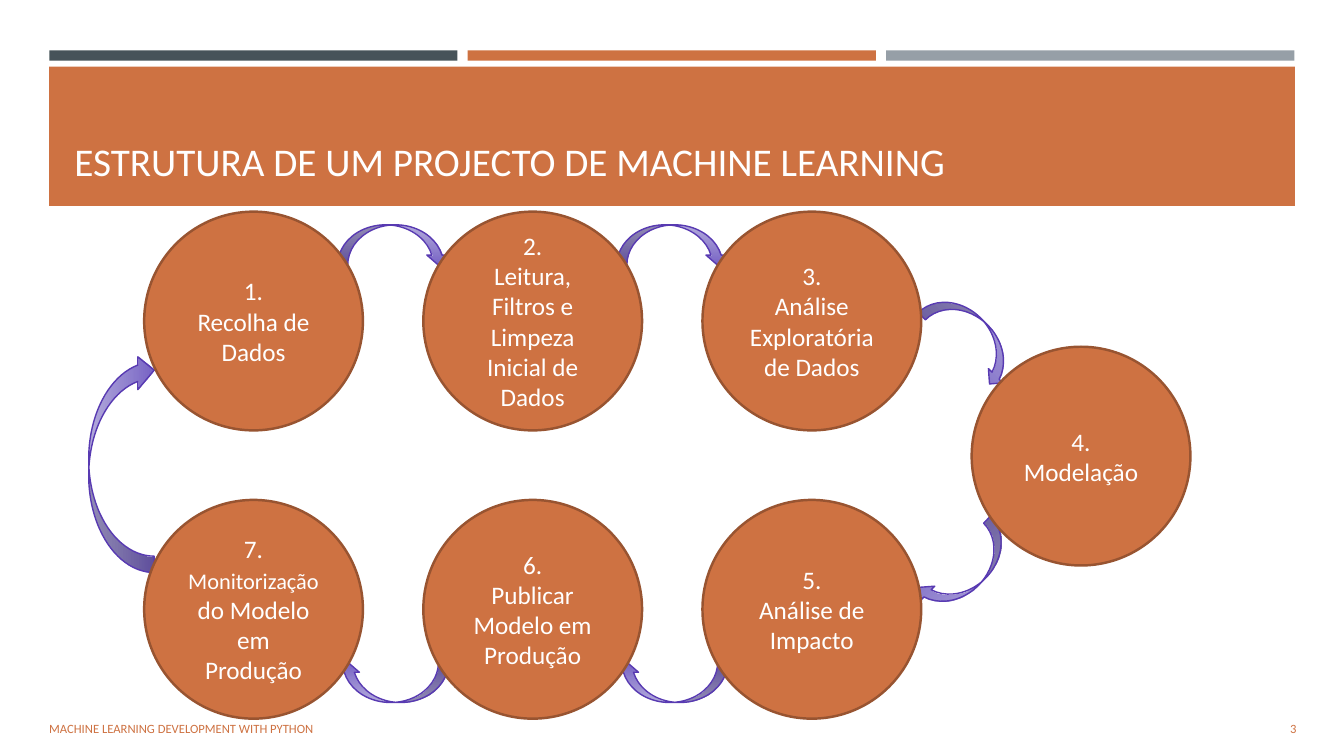
import pptx
import pptx.util
import pptx.dml.color
import pptx.enum.shapes
import pptx.enum.text
import pptx.oxml.ns
from lxml import etree

Pt = pptx.util.Pt
RGB = pptx.dml.color.RGBColor
Shape = pptx.enum.shapes.MSO_SHAPE
Align = pptx.enum.text.PP_ALIGN
Anchor = pptx.enum.text.MSO_ANCHOR

SLATE = RGB(0x46, 0x53, 0x59)
ORANGE = RGB(0xCE, 0x72, 0x42)
GRAY = RGB(0x96, 0x9F, 0xA7)
BROWN = RGB(0x98, 0x54, 0x31)
WHITE = RGB(0xFF, 0xFF, 0xFF)
LILAC = RGB(0xAB, 0xA2, 0xD8)
VIOLET = RGB(0x76, 0x62, 0xC5)
PURPLE = RGB(0x58, 0x3A, 0xB2)

LEFT, TOP, LOW = 103, 151.2, 357.1
STEP, SIZE = 199.4, 156.24
STEPS = [
    (LEFT, TOP, [("Recolha de Dados", 18)]),
    (LEFT + STEP, TOP, [("Leitura, Filtros e Limpeza Inicial de Dados", 18)]),
    (LEFT + 2 * STEP, TOP, [("Análise Exploratória de Dados", 18)]),
    (694.1, 247.7, [("Modelação", 18)]),
    (LEFT + 2 * STEP, LOW, [("Análise de Impacto", 18)]),
    (LEFT + STEP, LOW, [("Publicar Modelo em Produção", 18)]),
    (LEFT, LOW, [("Monitorização", 16), (" do Modelo em Produção", 18)]),
]
ARROWS = [
    (8.64, 307.4, 156.24, 46.8, 270),
    (650.2, 392.4, 79.2, 28.8, 135),
    (654.5, 226.8, 79.2, 28.8, 45),
] + [
    (241.2 + col * STEP, top, 79.2, 28.8, turn)
    for top, turn in ((160.6, 0), (473, 180))
    for col in range(2)
]


def apply(target, form):
    for name, value in form.items():
        setattr(target, name, value)


def add_form(slide, kind, box, fill=None, line=None, width=1):
    shape = slide.shapes.add_shape(kind, *map(Pt, box))
    shape.shadow.inherit = False
    if fill is not None:
        shape.fill.solid()
        shape.fill.fore_color.rgb = fill
    if line is None:
        shape.line.fill.background()
    else:
        shape.line.color.rgb = line
        shape.line.width = Pt(width)
    return shape


def write(shape, paras, color, align, anchor):
    frame = shape.text_frame
    apply(frame, {"word_wrap": True, "vertical_anchor": anchor})
    for index, runs in enumerate(paras):
        para = frame.add_paragraph() if index else frame.paragraphs[0]
        para.alignment = align
        for text, size in runs:
            run = para.add_run()
            run.text = text
            apply(run.font, {"size": Pt(size), "name": "Calibri"})
            run.font.color.rgb = color


def add_label(slide, box, text, size, color, align, anchor):
    label = slide.shapes.add_textbox(*map(Pt, box))
    write(label, [[(text, size)]], color, align, anchor)


def add_arrow(slide, left, top, width, height, turn):
    arrow = add_form(slide, Shape.CURVED_DOWN_ARROW,
                     (left, top, width, height), line=PURPLE)
    arrow.rotation = turn
    arrow.fill.gradient()
    arrow.fill.gradient_angle = 270
    for stop, color, place in zip(arrow.fill.gradient_stops, (LILAC, VIOLET), (0, 1)):
        stop.color.rgb = color
        stop.position = place
    qn = pptx.oxml.ns.qn
    first = next(arrow.element.spPr.iter(qn("a:srgbClr")))
    etree.SubElement(first, qn("a:alpha")).set("val", "90000")


def add_step(slide, number, left, top, runs):
    circle = add_form(slide, Shape.OVAL, (left, top, SIZE, SIZE), ORANGE, BROWN, 1.75)
    write(circle, [[(f"{number}.", 18)], runs], WHITE, Align.CENTER, Anchor.MIDDLE)


def main():
    deck = pptx.Presentation()
    apply(deck, {"slide_width": Pt(960), "slide_height": Pt(540)})
    slide = deck.slides.add_slide(deck.slide_layouts[6])
    for col, color in enumerate((SLATE, ORANGE, GRAY)):
        add_form(slide, Shape.RECTANGLE, (35.2 + col * 298.9, 36, 291.6, 7.3), color)
    add_form(slide, Shape.RECTANGLE, (35.2, 47.6, 889.8, 99.4), ORANGE)
    for arrow in ARROWS:
        add_arrow(slide, *arrow)
    add_label(slide, (850.3, 506.2, 82.8, 28.8), "3", 9, ORANGE,
              Align.RIGHT, Anchor.MIDDLE)
    add_label(slide, (28.1, 506.2, 537.1, 28.8),
              "MACHINE LEARNING DEVELOPMENT WITH PYTHON", 9, ORANGE,
              Align.LEFT, Anchor.MIDDLE)
    add_label(slide, (46.1, 57.6, 868.3, 77.8),
              "ESTRUTURA DE UM PROJECTO DE MACHINE LEARNING", 28, WHITE,
              Align.LEFT, Anchor.BOTTOM)
    for number, step in enumerate(STEPS, 1):
        add_step(slide, number, *step)
    deck.save("out.pptx")


if __name__ == "__main__":
    main()
